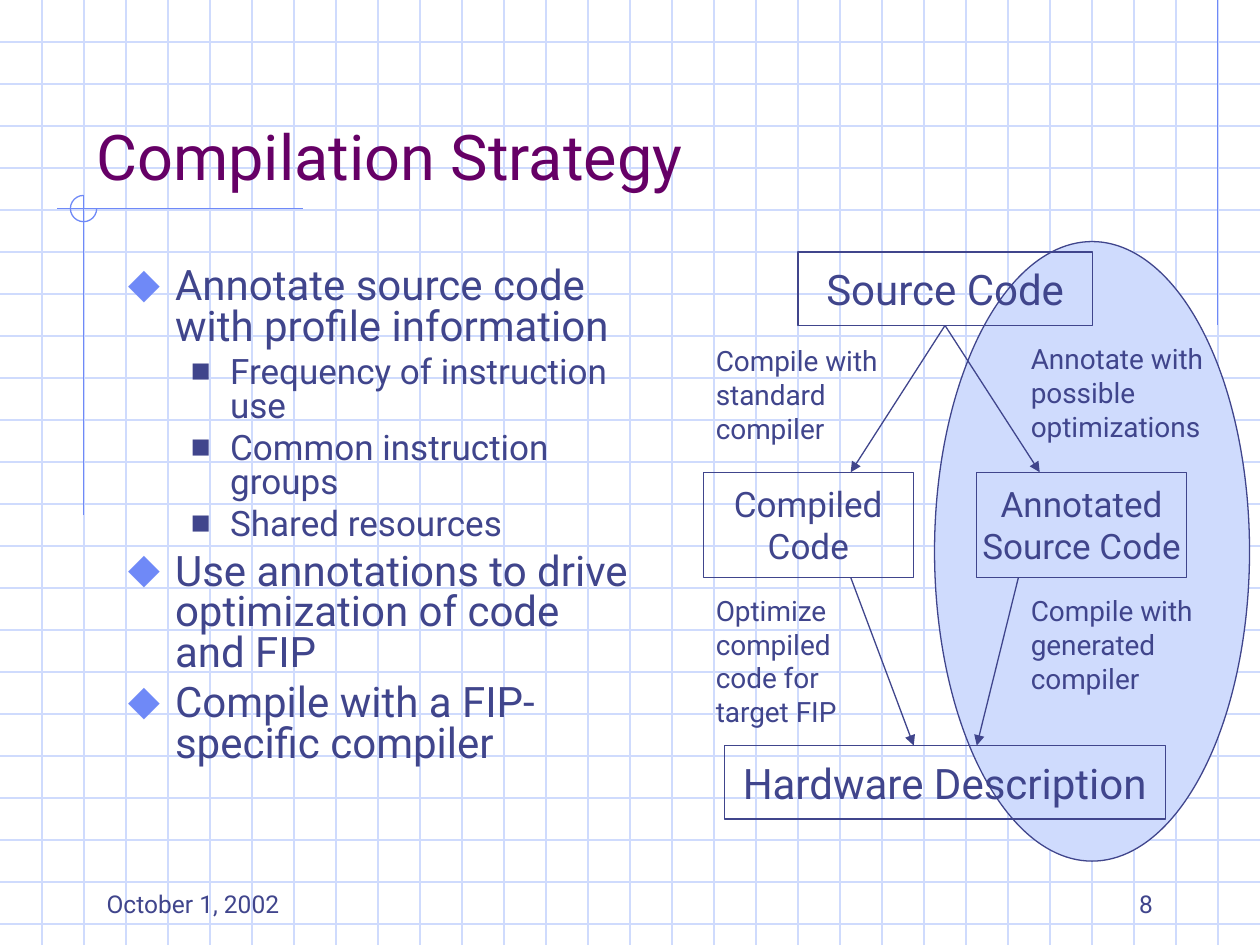
import lxml.etree
import pptx
import pptx.dml.color
import pptx.enum.shapes
import pptx.enum.text
import pptx.oxml.ns
import pptx.util
from pptx.util import Cm

INDIGO = pptx.dml.color.RGBColor(0x40, 0x45, 0x8C)
PURPLE = pptx.dml.color.RGBColor(0x66, 0x00, 0x66)
BLUE = pptx.dml.color.RGBColor(0x6F, 0x89, 0xF7)
PALE_BLUE = pptx.dml.color.RGBColor(0xCF, 0xDB, 0xFD)
FONT = "Roboto"
WIDTH, HEIGHT = 25.4, 19.05
GRID_COLUMNS = 30
ALIGN = pptx.enum.text.PP_ALIGN
ANCHOR = pptx.enum.text.MSO_ANCHOR
SHAPE = pptx.enum.shapes.MSO_SHAPE

# level: size, left indent, hanging indent, space before, bullet, colour, percent
BULLET_STYLES = (
    (24, 0.95, 0.95, 6, "⬥", BLUE, 110),
    (20, 2.06, 0.79, 5, "■", INDIGO, 60),
)
BULLETS = (
    (0, "Annotate source code with profile information"),
    (1, "Frequency of instruction use"),
    (1, "Common instruction groups"),
    (1, "Shared resources"),
    (0, "Use annotations to drive optimization of code and FIP"),
    (0, "Compile with a FIP-specific compiler"),
)
BOXES = (
    (16.09, 5.08, 5.93, 1.48, 24, "Source Code"),
    (14.18, 9.52, 4.23, 2.12, 20, "Compiled\nCode"),
    (14.6, 15.03, 8.89, 1.48, 24, "Hardware Description"),
    (19.69, 9.52, 4.23, 2.12, 20, "Annotated\nSource Code"),
)
ARROWS = (
    (19.05, 6.56, 17.15, 9.52),
    (19.05, 6.56, 20.96, 9.52),
    (17.15, 11.64, 18.42, 15.03),
    (20.53, 11.64, 19.69, 15.03),
)
LABELS = (
    (20.53, 6.77, 4.02, 2.96, "Annotate with possible optimizations"),
    (14.18, 6.81, 4.02, 2.29, "Compile with standard compiler"),
    (20.53, 11.85, 3.81, 2.96, "Compile with generated compiler"),
    (14.18, 11.84, 3.18, 2.96, "Optimize compiled code for target FIP"),
)


def add_run(paragraph, text, size, color=INDIGO):
    """Add one formatted run to a paragraph."""
    run = paragraph.add_run()
    run.text = text
    run.font.name = FONT
    run.font.size = pptx.util.Pt(size)
    run.font.color.rgb = color


def add_line(slide, x1, y1, x2, y2, color, arrow=False):
    """Add a thin straight line, with an arrowhead at its end if asked."""
    line = slide.shapes.add_connector(
        pptx.enum.shapes.MSO_CONNECTOR.STRAIGHT, Cm(x1), Cm(y1), Cm(x2), Cm(y2))
    line.line.color.rgb = color
    line.line.width = pptx.util.Pt(0.75)
    if arrow:
        outline = line.line._get_or_add_ln()
        lxml.etree.SubElement(outline, pptx.oxml.ns.qn("a:tailEnd"), type="triangle")
    lxml.etree.SubElement(line._element.spPr, pptx.oxml.ns.qn("a:effectLst"))


def add_outline(slide, kind, left, top, width, height, color, fill=None):
    """Add a thin-lined preset shape, filled only if a fill is given."""
    shape = slide.shapes.add_shape(kind, Cm(left), Cm(top), Cm(width), Cm(height))
    shape.shadow.inherit = False
    shape.line.color.rgb = color
    shape.line.width = pptx.util.Pt(0.75)
    if fill is None:
        shape.fill.background()
    else:
        shape.fill.solid()
        shape.fill.fore_color.rgb = fill
    return shape


def add_box(slide, left, top, width, height, size, text):
    """Add an outlined box with centred lines of text."""
    frame = add_outline(slide, SHAPE.RECTANGLE, left, top, width, height, INDIGO).text_frame
    frame.word_wrap = False
    frame.vertical_anchor = ANCHOR.MIDDLE
    paragraph = frame.paragraphs[0]
    paragraph.alignment = ALIGN.CENTER
    for index, line in enumerate(text.split("\n")):
        if index:
            paragraph.add_line_break()
        add_run(paragraph, line, size)


def add_frame(slide, left, top, width, height, anchor=ANCHOR.TOP):
    """Add a wrapping text box and return its text frame."""
    shape = slide.shapes.add_textbox(Cm(left), Cm(top), Cm(width), Cm(height))
    shape.text_frame.word_wrap = True
    shape.text_frame.vertical_anchor = anchor
    return shape.text_frame


def add_label(slide, left, top, width, height, text, size=16,
              anchor=ANCHOR.TOP, alignment=ALIGN.LEFT):
    """Add a text box holding a single paragraph."""
    paragraph = add_frame(slide, left, top, width, height, anchor).paragraphs[0]
    paragraph.alignment = alignment
    add_run(paragraph, text, size)


def format_bullet(paragraph, level):
    """Give a paragraph the spacing, indent and bullet of its level."""
    _, left, hanging, before, character, color, percent = BULLET_STYLES[level]
    paragraph.level = level
    paragraph.line_spacing = 0.8
    paragraph.space_before = pptx.util.Pt(before)
    properties = paragraph._p.get_or_add_pPr()
    properties.set("marL", str(Cm(left)))
    properties.set("indent", str(-Cm(hanging)))
    qn = pptx.oxml.ns.qn
    bullet_color = lxml.etree.SubElement(properties, qn("a:buClr"))
    lxml.etree.SubElement(bullet_color, qn("a:srgbClr"), val=str(color))
    lxml.etree.SubElement(properties, qn("a:buSzPct"), val=str(percent * 1000))
    lxml.etree.SubElement(properties, qn("a:buFont"), typeface=FONT)
    lxml.etree.SubElement(properties, qn("a:buChar"), char=character)


def add_bullets(slide):
    """Add the bulleted list on the left."""
    frame = add_frame(slide, 2.33, 5.29, 10.58, 11.43)
    for index, (level, text) in enumerate(BULLETS):
        paragraph = frame.add_paragraph() if index else frame.paragraphs[0]
        format_bullet(paragraph, level)
        add_run(paragraph, text, BULLET_STYLES[level][0])


def add_background(slide):
    """Draw the grid with its accent lines and the ring."""
    step = WIDTH / GRID_COLUMNS
    for row in range(1, int(HEIGHT / step) + 1):
        add_line(slide, 0, row * step, WIDTH, row * step, PALE_BLUE)
    for column in range(1, GRID_COLUMNS):
        add_line(slide, column * step, 0, column * step, HEIGHT, PALE_BLUE)
    add_line(slide, 24.55, 0, 24.55, 6.56, BLUE)
    add_line(slide, 6.1, 4.21, 1.14, 4.21, BLUE)
    add_line(slide, 1.69, 3.94, 1.69, 10.39, BLUE)
    ring = add_outline(slide, SHAPE.ARC, 1.42, 3.94, 0.53, 0.53, BLUE)
    ring.adjustments[0] = 0
    ring.adjustments[1] = 270 * 0.6


def place_title(slide, text):
    """Move the title in front of the grid and format it."""
    title = slide.shapes.title
    title.left, title.top = Cm(1.69), Cm(0.85)
    title.width, title.height = Cm(21.59), Cm(3.18)
    title.element.getparent().append(title.element)
    frame = title.text_frame
    frame.auto_size = pptx.enum.text.MSO_AUTO_SIZE.NONE
    frame.vertical_anchor = ANCHOR.BOTTOM
    frame.paragraphs[0].alignment = ALIGN.LEFT
    add_run(frame.paragraphs[0], text, 36, PURPLE)


def main():
    """Build the slide and save it."""
    presentation = pptx.Presentation()
    presentation.slide_width, presentation.slide_height = Cm(WIDTH), Cm(HEIGHT)
    slide = presentation.slides.add_slide(presentation.slide_layouts[5])
    add_background(slide)
    add_outline(slide, SHAPE.OVAL, 18.84, 4.87, 6.35, 12.49, INDIGO, PALE_BLUE)
    place_title(slide, "Compilation Strategy")
    add_bullets(slide)
    for box in BOXES:
        add_box(slide, *box)
    for arrow in ARROWS:
        add_line(slide, *arrow, INDIGO, arrow=True)
    for label in LABELS:
        add_label(slide, *label)
    add_label(slide, 18.2, 17.36, 5.29, 1.27, "8", 14, ANCHOR.BOTTOM, ALIGN.RIGHT)
    add_label(slide, 1.9, 17.36, 5.29, 1.27, "October 1, 2002", 14, ANCHOR.BOTTOM)
    presentation.save("out.pptx")


if __name__ == "__main__":
    main()
